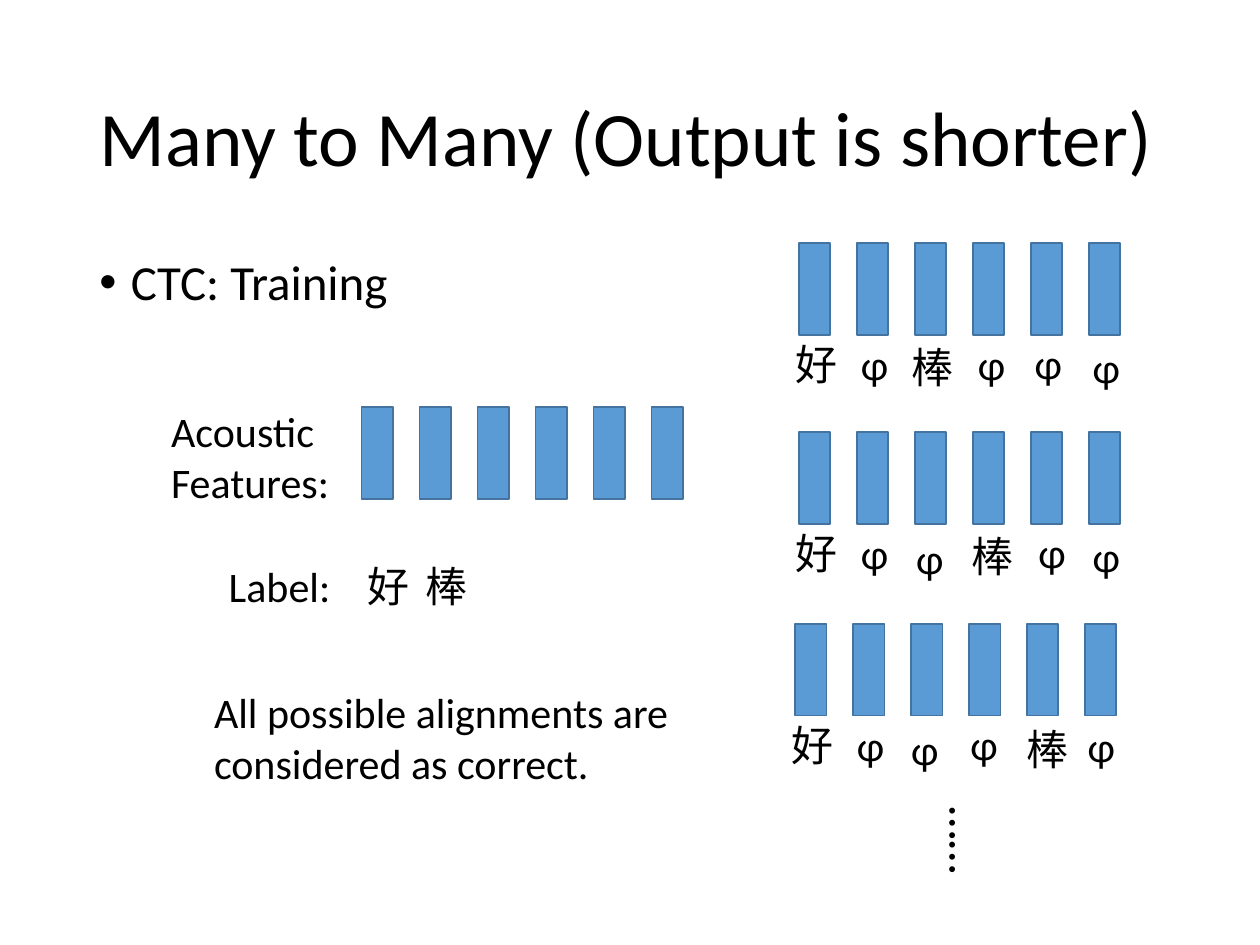
from pptx import Presentation
from pptx.dml.color import RGBColor as RGB
from pptx.enum.shapes import MSO_SHAPE as Kind
from pptx.enum.text import MSO_ANCHOR as Anchor, MSO_AUTO_SIZE as Auto, PP_ALIGN as Align
from pptx.util import Inches, Pt
from lxml.etree import SubElement
from pptx.oxml.ns import qn

HUES = {"ink": "000000", "bar": "5B9BD5", "edge": "43739E"}
UNIT = 0.1  # inches per grid column and row
STEP = 4.6  # columns from one frame to the next


class Board:
    """Holds the style and the current slide."""

    def __init__(self, cols, rows, font="Calibri"):
        """Open a blank slide of cols by rows."""
        self.deck = Presentation()
        self.deck.slide_width = self.span(cols)
        self.deck.slide_height = self.span(rows)
        self.slide = self.deck.slides.add_slide(self.deck.slide_layouts[6])
        self.font = font

    def span(self, count):
        """Turn grid units into a length."""
        return Inches(count * UNIT)

    def text(self, words, box, size=24, align=Align.LEFT, grow=True, home=None):
        """Add a text box with one paragraph per string."""
        home = home or self.slide
        shape = home.shapes.add_textbox(*map(self.span, box))
        frame = shape.text_frame
        frame.word_wrap = True
        frame.auto_size = Auto.SHAPE_TO_FIT_TEXT if grow else Auto.NONE
        for i, line in enumerate(words):
            para = frame.add_paragraph() if i else frame.paragraphs[0]
            para.alignment = align
            run = para.add_run()
            run.text = line
            run.font.name = self.font
            run.font.size = Pt(size)
            run.font.color.rgb = RGB.from_string(HUES["ink"])
        return shape

    def title(self, words, box):
        """Add the heading, centred in height."""
        frame = self.text([words], box, 44, grow=False).text_frame
        frame.vertical_anchor = Anchor.MIDDLE
        frame.paragraphs[0].line_spacing = 0.9

    def bullet(self, words, box):
        """Add a body box with one bullet point."""
        para = self.text([words], box, 28, grow=False).text_frame.paragraphs[0]
        para.line_spacing = 0.9
        para.space_before = Pt(10)
        props = para._p.get_or_add_pPr()
        props.set("marL", str(self.span(2.5)))
        props.set("indent", str(-self.span(2.5)))
        SubElement(props, qn("a:buFont"), typeface="Arial")
        SubElement(props, qn("a:buChar"), char="•")

    def bars(self, col, row, home=None):
        """Add a row of six feature frames."""
        home = home or self.slide
        for i in range(6):
            box = (col + i * STEP, row, 2.5, 7.3)
            bar = home.shapes.add_shape(Kind.RECTANGLE, *map(self.span, box))
            bar.shadow.inherit = False
            bar.fill.solid()
            bar.fill.fore_color.rgb = RGB.from_string(HUES["bar"])
            bar.line.color.rgb = RGB.from_string(HUES["edge"])
            bar.line.width = Pt(1)

    def marks(self, signs, col, row, shifts, home):
        """Add one sign per frame, each with a small shift."""
        for i, (sign, (dx, dy)) in enumerate(zip(signs, shifts)):
            box = (col + i * STEP + dx, row + dy, 5.5, 5)
            self.text([sign], box, align=Align.CENTER, home=home)

    def group(self):
        """Add an empty group."""
        return self.slide.shapes.add_group_shape()


board = Board(100, 75)
board.title("Many to Many (Output is shorter)", (6.9, 4, 86.2, 14.5))
board.bullet("CTC: Training", (6.9, 20, 86.2, 47.6))

board.bars(28.7, 32.3)
board.marks("好棒", 28.1, 44, [(0, 0)] * 2, board.group())
board.text(["Acoustic", "Features:"], (12.6, 31.7, 15.7, 9.1))
board.text(["Label:"], (11.5, 44, 15.7, 5), align=Align.RIGHT)
board.text(["All possible alignments are considered as correct."],
           (16, 54, 39.1, 9.1))

# Each path: signs, left column, top row, shift of each sign
PATHS = [
    ("好φ棒φφφ", 63.4, 19.3,
     [(0, 0), (0, 0), (0, 0.2), (0.1, 0), (0, -0.1), (0, 0.2)]),
    ("好φφ棒φφ", 63.4, 34.3,
     [(0, 0), (0, 0), (-0.2, 0.4), (0.2, 0.2), (0.3, -0.1), (0, 0.2)]),
    ("好φφφ棒φ", 63.1, 49.5,
     [(0, 0), (0, 0), (-0.3, 0.3), (-0.2, -0.1), (0.2, 0.3), (-0.1, 0.1)]),
]
for signs, col, row, shifts in PATHS:
    group = board.group()
    board.bars(col, row, group)
    board.marks(signs, col - 1.35, row + 7.1, shifts, group)

dots = board.text(["……"], (73.2, 63.9, 7.4, 5.7), 28)
dots.rotation = 90

board.deck.save("out.pptx")
